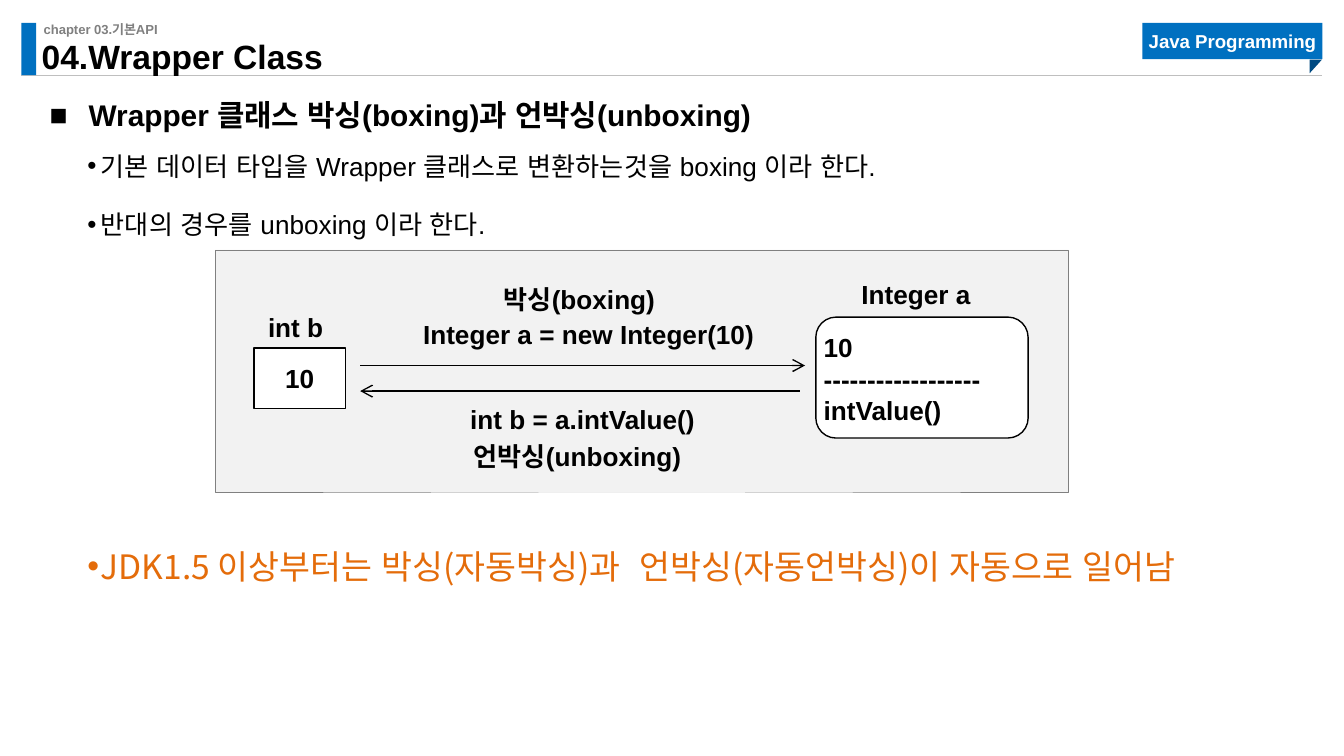
import pptx
import pptx.dml.color
import pptx.enum.shapes
import pptx.enum.text
import pptx.oxml
import pptx.oxml.ns
import pptx.util

COLS, ROWS = 100, 56.25
CELL = pptx.util.Inches(0.1)
SHAPE = pptx.enum.shapes.MSO_SHAPE
ALIGN = pptx.enum.text.PP_ALIGN
ANCHOR = pptx.enum.text.MSO_ANCHOR
BLUE, BLACK, WHITE, GRAY = "0070C0", "000000", "FFFFFF", "808080"
LABEL = {"size": 14, "bold": True}


def grid(*values):
    return [round(v * CELL) for v in values]


def color(fmt, value):
    fmt.rgb = pptx.dml.color.RGBColor.from_string(value)


def add_xml(parent, tag, **attrs):
    el = pptx.oxml.parse_xml(f"<a:{tag} {pptx.oxml.ns.nsdecls('a')}/>")
    for key, value in attrs.items():
        el.set(key, value)
    parent.append(el)


def set_line(line, value, width):
    color(line.color, value)
    line.width = pptx.util.Pt(width)


def add_bullet(p, char, left, hang):
    pPr = p._p.get_or_add_pPr()
    pPr.set("marL", str(grid(left)[0]))
    pPr.set("indent", str(-grid(hang)[0]))
    add_xml(pPr, "buFont", typeface="Arial")
    add_xml(pPr, "buChar", char=char)


def write(sp, lines, size, bold=False, fill=BLACK, font="Arial", margin=0,
          wrap=True, anchor=ANCHOR.TOP, bullet=None, gap=0, **para):
    tf = sp.text_frame
    frame = {"word_wrap": wrap, "vertical_anchor": anchor}
    frame.update({f"margin_{side}": grid(margin)[0] for side in ("left", "right")})
    frame.update({f"margin_{side}": grid(margin / 2)[0] for side in ("top", "bottom")})
    for name, value in frame.items():
        setattr(tf, name, value)
    for i, text in enumerate(lines):
        p = tf.paragraphs[0] if i == 0 else tf.add_paragraph()
        for name, value in para.items():
            setattr(p, name, value)
        if i and gap:
            p.space_before = pptx.util.Pt(gap)
        if bullet:
            add_bullet(p, *bullet)
        r = p.add_run()
        r.text = text
        for name, value in {"name": font, "size": pptx.util.Pt(size), "bold": bold}.items():
            setattr(r.font, name, value)
        color(r.font.color, fill)
        add_xml(r._r.get_or_add_rPr(), "ea", typeface="Arial")


def add_text(s, at, lines, size, **style):
    write(s.shapes.add_textbox(*grid(*at)), lines, size, **style)


def add_label(s, at, *lines, alignment=ALIGN.CENTER):
    add_text(s, at, lines, margin=1, wrap=False, alignment=alignment, **LABEL)


def add_box(s, kind, at, fill, line=None, width=0.75):
    sp = s.shapes.add_shape(kind, *grid(*at))
    sp.shadow.inherit = False
    sp.fill.solid()
    color(sp.fill.fore_color, fill)
    if line:
        set_line(sp.line, line, width)
    else:
        sp.line.fill.background()
    return sp


def add_rule(s, x1, x2, y, value, width, arrow=None):
    line = s.shapes.add_connector(pptx.enum.shapes.MSO_CONNECTOR.STRAIGHT, *grid(x1, y, x2, y))
    set_line(line.line, value, width)
    if arrow:
        add_xml(line.line._get_or_add_ln(), arrow, type="arrow")
    add_xml(line._element.spPr, "effectLst")


def add_header(s):
    add_rule(s, 1.6, COLS - 1.6, 5.6, "BFBFBF", 0.5)
    add_box(s, SHAPE.RECTANGLE, (1.6, 1.7, 1.1, 3.9), BLUE)
    add_text(s, (3.25, 1.6, 32.3, 1.2), ["chapter 03.기본API"], 7, bold=True, fill=GRAY)
    tag = add_box(s, SHAPE.RECTANGLE, (85, 1.7, 13.4, 2.7), BLUE)
    write(tag, ["Java Programming"], 10, bold=True, fill=WHITE,
          anchor=ANCHOR.MIDDLE, alignment=ALIGN.CENTER)
    add_box(s, SHAPE.RIGHT_TRIANGLE, (97.4, 4.5, 1, 0.9), "004A82").rotation = 90
    add_text(s, (3.1, 3.45, 33, 2.3), ["04.Wrapper Class"], 18, bold=True,
             anchor=ANCHOR.BOTTOM, line_spacing=0.9)


def add_body(s):
    add_text(s, (3.7, 5.9, 95.4, 3.3), ["Wrapper 클래스 박싱(boxing)과 언박싱(unboxing)"], 16,
             bold=True, bullet=("■", 2.9, 2.9), line_spacing=1.5)
    point = {"bullet": ("•", 4, 1), "level": 1}
    add_text(s, (3.5, 10, 94.9, 8.5),
             ["기본 데이터 타입을 Wrapper 클래스로 변환하는것을 boxing 이라 한다.",
              "반대의 경우를 unboxing 이라 한다."],
             14, gap=6, line_spacing=1.5, **point)
    add_text(s, (3.5, 40.6, 94.9, 3.6),
             ["JDK1.5 이상부터는 박싱(자동박싱)과  언박싱(자동언박싱)이 자동으로 일어남"],
             18, fill="E46C0A", font="Noto Sans CJK KR", **point)


def add_diagram(s):
    add_box(s, SHAPE.RECTANGLE, (16, 18.6, 63.5, 18), "F2F2F2", GRAY, 0.25)
    value = add_box(s, SHAPE.RECTANGLE, (18.9, 25.9, 6.8, 4.5), WHITE, BLACK)
    write(value, ["10"], anchor=ANCHOR.MIDDLE, alignment=ALIGN.CENTER, **LABEL)
    add_box(s, SHAPE.ROUNDED_RECTANGLE, (60.7, 23.6, 15.8, 9), WHITE, BLACK)
    add_rule(s, 26.8, 59.9, 27.2, BLACK, 0.75, "tailEnd")
    add_rule(s, 26.8, 59.5, 29.1, BLACK, 0.75, "headEnd")
    for x, y, width, text in (
        (18.8, 22.7, 6.4, "int b"),
        (62.9, 20.2, 10.5, "Integer a"),
        (29.7, 23.2, 28.2, "Integer a = new Integer(10)"),
        (33.5, 29.5, 19.7, "int b = a.intValue()"),
        (36.2, 20.6, 13.8, "박싱(boxing)"),
        (33.9, 32.3, 18.1, "언박싱(unboxing)"),
    ):
        add_label(s, (x, y, width, 3.4), text)
    add_label(s, (60.3, 24.2, 16.5, 8.1), "10", "-" * 18, "intValue()", alignment=ALIGN.LEFT)


def main():
    prs = pptx.Presentation()
    prs.slide_width, prs.slide_height = grid(COLS, ROWS)
    s = prs.slides.add_slide(prs.slide_layouts[6])
    add_header(s)
    add_body(s)
    add_diagram(s)
    prs.save("out.pptx")


if __name__ == "__main__":
    main()
